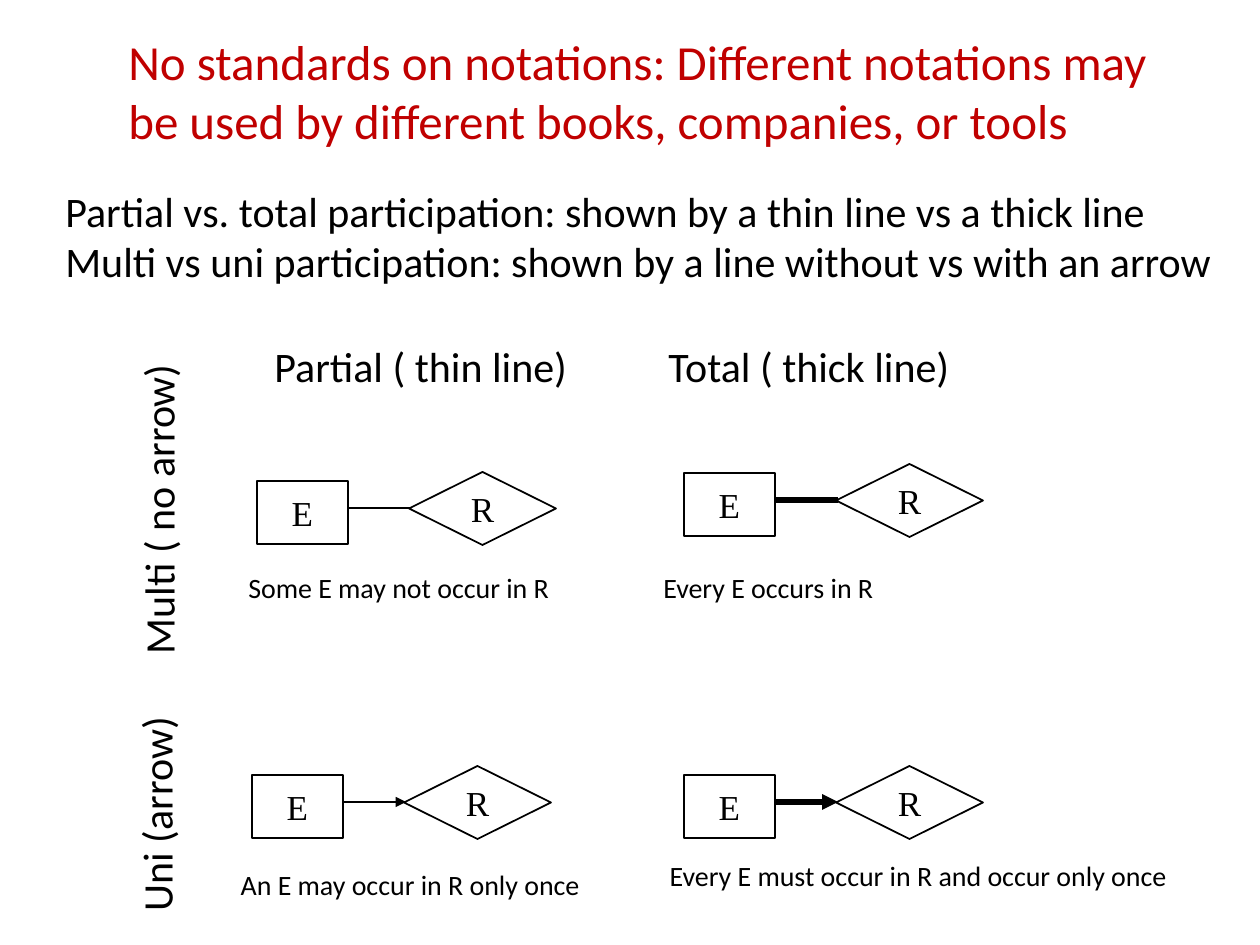
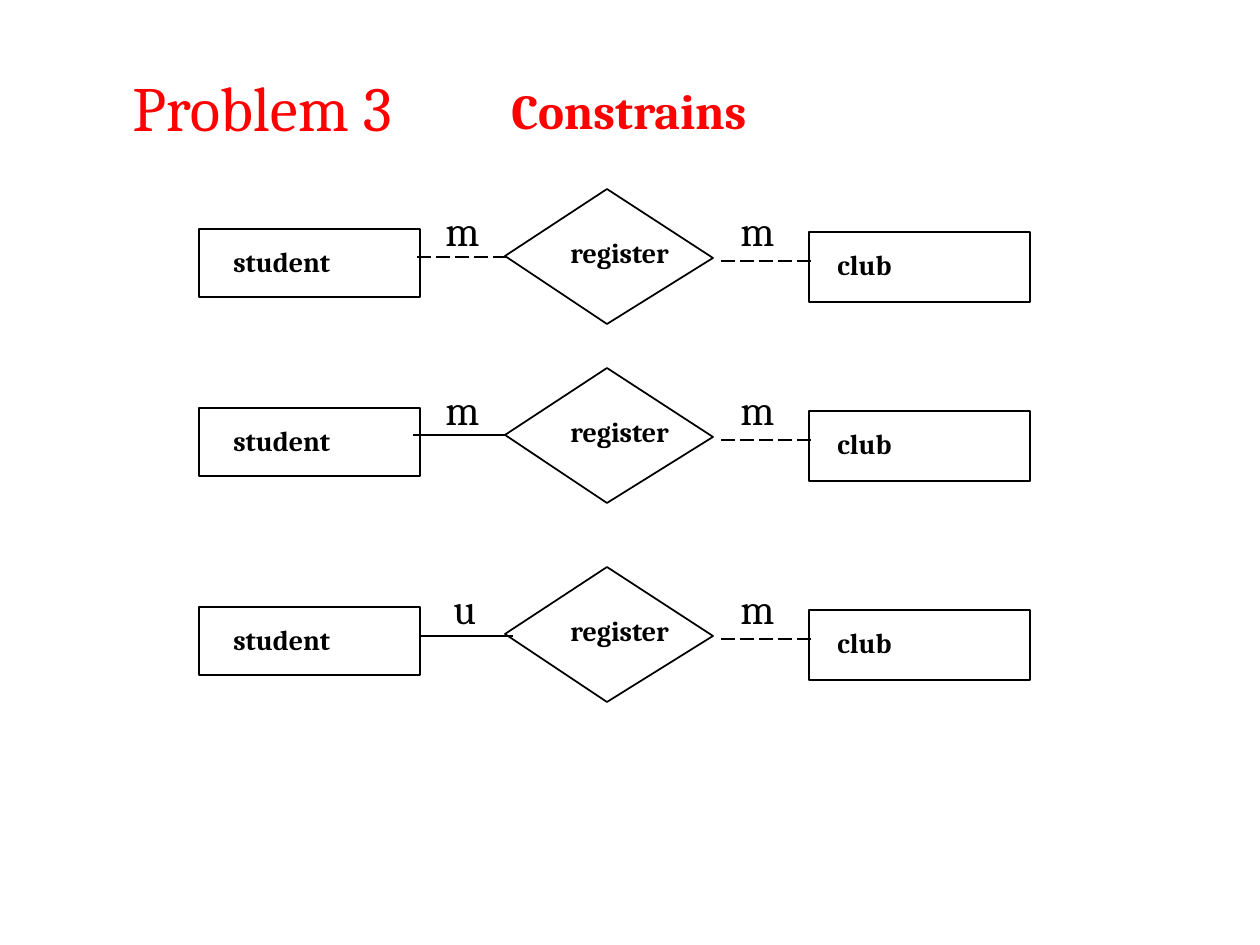
from lxml import etree
from pptx import Presentation
from pptx import util as u
from pptx.dml.color import RGBColor
from pptx.enum import dml, shapes, text
from pptx.oxml import ns

SCALE = 914400 / 126  # EMU per pixel
BLACK = RGBColor(0x00, 0x00, 0x00)
WHITE = RGBColor(0xFF, 0xFF, 0xFF)
DARK_RED = RGBColor(0xC0, 0x00, 0x00)
RED = RGBColor(0xFF, 0x00, 0x00)

presentation = Presentation()
presentation.slide_width = u.Emu(round(1260 * SCALE))
presentation.slide_height = u.Emu(round(945 * SCALE))
blank = presentation.slide_layouts[6]


def write(slide, content, box, size=24, font="Calibri", color=BLACK, bold=False,
          wrap=False, rotation=0, preset=None, fill=None):
    """Place text in a plain box, or centred in an outlined preset shape."""
    place = [u.Emu(round(value * SCALE)) for value in box]
    if preset is None:
        shape = slide.shapes.add_textbox(*place)
    else:
        shape = slide.shapes.add_shape(preset, *place)
        shape.shadow.inherit = False
        shape.line.color.rgb = BLACK
        shape.line.width = u.Pt(1)
        shape.fill.background()
        if fill is not None:
            shape.fill.solid()
            shape.fill.fore_color.rgb = fill
    shape.rotation = rotation
    frame = shape.text_frame
    frame.word_wrap = wrap
    if preset is None:
        frame.auto_size = text.MSO_AUTO_SIZE.SHAPE_TO_FIT_TEXT
    else:
        frame.vertical_anchor = text.MSO_ANCHOR.MIDDLE
    for index, line in enumerate(content.split("\n")):
        paragraph = frame.add_paragraph() if index else frame.paragraphs[0]
        if preset is not None:
            paragraph.alignment = text.PP_ALIGN.CENTER
        run = paragraph.add_run()
        run.text = line
        run.font.size = u.Pt(size)
        run.font.name = font
        run.font.bold = bold
        run.font.color.rgb = color


def connect(slide, start, end, y, width=1, dashed=False, arrow=False):
    """Draw a horizontal line; the arrowhead sits at its start."""
    points = [u.Emu(round(value * SCALE)) for value in (start, y, end, y)]
    connector = slide.shapes.add_connector(shapes.MSO_CONNECTOR.STRAIGHT, *points)
    connector.line.color.rgb = BLACK
    connector.line.width = u.Pt(width)
    if dashed:
        connector.line.dash_style = dml.MSO_LINE.LONG_DASH
    if arrow:
        head = etree.SubElement(connector.line._get_or_add_ln(), ns.qn("a:headEnd"))
        head.set("type", "triangle")
    etree.SubElement(connector._element.spPr, ns.qn("a:effectLst"))


# Slide 1: notations
slide = presentation.slides.add_slide(blank)
write(slide, "No standards on notations: Different notations may be used by "
      "different books, companies, or tools", (116, 25, 1050, 131),
      size=28, color=DARK_RED, wrap=True)
write(slide, "Partial vs. total participation: shown by a thin line vs a thick line\n"
      "Multi vs uni participation: shown by a line without vs with an arrow",
      (53, 179, 1182, 115))

# Column and row headings
write(slide, "Partial ( thin line)", (262, 334, 321, 63))
write(slide, "Total ( thick line)", (656, 334, 309, 63))
write(slide, "Multi ( no arrow)", (-1, 476, 318, 63), rotation=270)
write(slide, "Uni (arrow)", (45, 781, 222, 63), rotation=270)

# Entity and relationship pairs: left, top, line width, arrow
pairs = [(257, 481, 1, False), (684, 473, 3, False),
         (252, 775, 1, True), (684, 775, 3, True)]
letter = dict(size=20, font="Times New Roman")
for left, top, width, arrow in pairs:
    write(slide, "E", (left, top, 91, 63), fill=WHITE,
          preset=shapes.MSO_SHAPE.RECTANGLE, **letter)
    write(slide, "R", (left + 152, top - 9, 147, 73),
          preset=shapes.MSO_SHAPE.DIAMOND, **letter)
    connect(slide, left + 154, left + 92, top + 27, width=width, arrow=arrow)

# Captions
captions = [("Some E may not occur in R", 236, 564, 330),
            ("Every E occurs in R", 651, 564, 238),
            (" An E may occur in R only once", 222, 861, 375),
            (" Every E must occur in R and occur only once", 651, 852, 536)]
for caption, left, top, width in captions:
    write(slide, caption, (left, top, width, 47), size=16)

# Slide 2: constraints
slide = presentation.slides.add_slide(blank)
write(slide, "Problem 3", (120, 62, 306, 89), size=36, font="Cambria", color=RED)
write(slide, "Constrains", (499, 74, 335, 72), size=28, font="Cambria",
      color=RED, bold=True, wrap=True)

# Rows: top, left label and its place, left line from, to, drop, dashed
rows = [(189, "m", 433, 507, 413, 68, True),
        (368, "m", 433, 507, 413, 67, False),
        (567, "u", 441, 513, 420, 69, False)]
name = dict(size=16, font="Cambria", bold=True)
for top, label, label_left, start, end, drop, dashed in rows:
    # Relationship diamond
    builder = slide.shapes.build_freeform(505, top + 67, scale=SCALE)
    builder.add_line_segments([(607, top), (713, top + 69), (607, top + 135)])
    diamond = builder.convert_to_shape()
    diamond.shadow.inherit = False
    diamond.fill.background()
    diamond.line.color.rgb = BLACK
    diamond.line.width = u.Pt(1)
    write(slide, "register", (558, top + 40, 127, 47), **name)

    # Entity boxes and their names
    for box in ((199, top + 40, 221, 68), (809, top + 43, 221, 70)):
        write(slide, "", box, preset=shapes.MSO_SHAPE.RECTANGLE)
    write(slide, "student", (221, top + 49, 125, 47), **name)
    write(slide, "club", (825, top + 52, 207, 47), wrap=True, **name)

    # Lines and cardinalities
    connect(slide, start, end, top + drop, dashed=dashed)
    connect(slide, 811, 718, top + 72, dashed=True)
    for mark, left in ((label, label_left), ("m", 728)):
        write(slide, mark, (left, top + 9, 63, 63), font="Cambria", wrap=True)

presentation.save("out.pptx")
